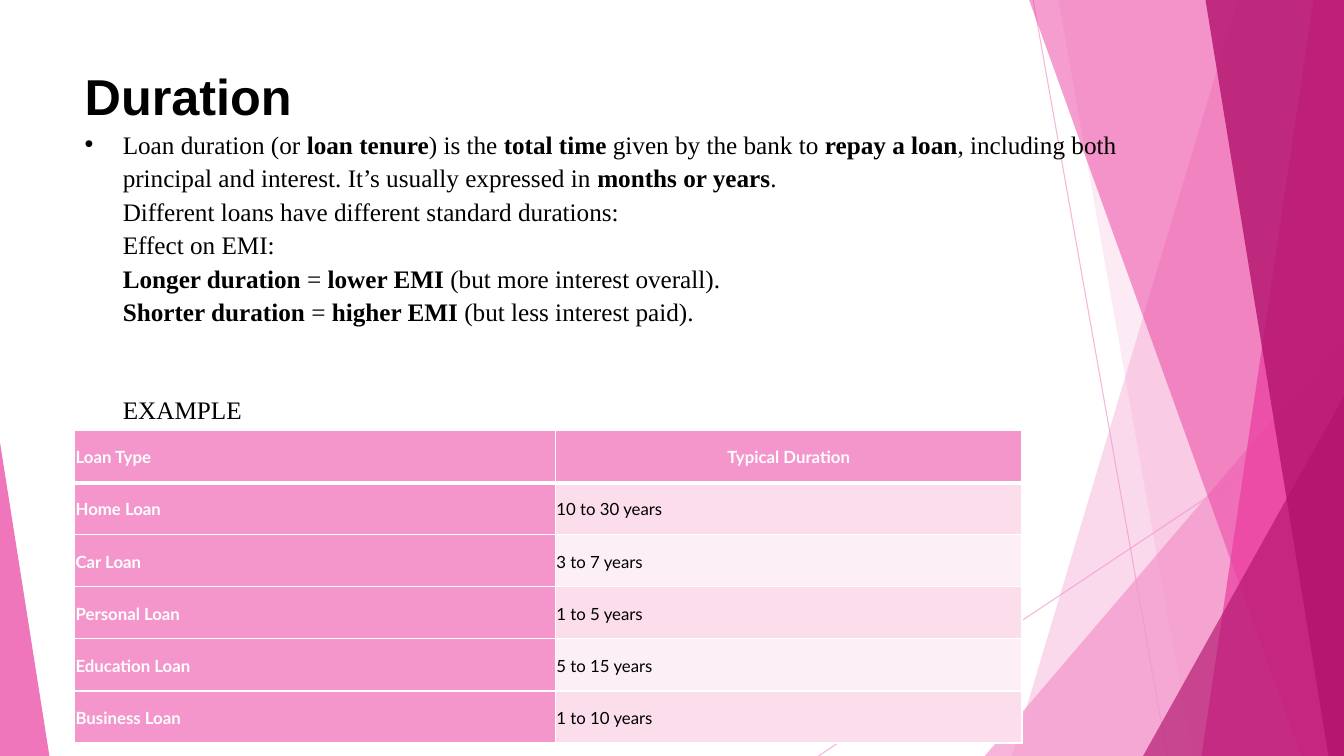
import dataclasses

import pptx
import pptx.dml.color
import pptx.enum.dml
import pptx.enum.shapes
import pptx.enum.text
import pptx.oxml
import pptx.oxml.ns
import pptx.util

Pt = pptx.util.Pt
qn = pptx.oxml.ns.qn
SHAPES = pptx.enum.shapes.MSO_SHAPE
ANCHOR = pptx.enum.text.MSO_ANCHOR
ALIGN = pptx.enum.text.PP_ALIGN


@dataclasses.dataclass(frozen=True)
class Theme:
    light_pink: str = "F496CB"
    pink: str = "EB3D9F"
    magenta: str = "B2136D"
    band_dark: str = "FBDDEC"
    band_light: str = "FDEFF6"
    white: str = "FFFFFF"
    black: str = "000000"
    title_font: str = "Arial"
    body_font: str = "Times New Roman"
    table_font: str = "Lato"
    title_size: int = 36
    body_size: int = 18
    table_size: int = 12


THEME = Theme()
WIDTH, HEIGHT = 960, 540
LEFT = 53.28
HANGING = 27.2
ROW_HEIGHT = 37.2
COLUMN_WIDTHS = (343.44, 333.36)

# Top-left x, bottom-left x, colour, opacity; each band reaches the right edge.
BACK_BANDS = [
    (884.16, 722.88, THEME.light_pink, 36),
    (756, 851.76, THEME.light_pink, 20),
]
FRONT_BANDS = [
    (735.12, 929.52, THEME.pink, 50),
    (938.16, 858.24, THEME.pink, 70),
    (861.12, 948.96, THEME.magenta, 80),
]

# Text between ** marks is bold.
BODY = [
    "Loan duration (or **loan tenure**) is the **total time** given by the bank to "
    "**repay a loan**, including both principal and interest. It’s usually "
    "expressed in **months or years**.",
    "Different loans have different standard durations:",
    "Effect on EMI:",
    "**Longer duration** = **lower EMI** (but more interest overall).",
    "**Shorter duration** = **higher EMI** (but less interest paid).",
    "EXAMPLE",
]

LOANS = [
    ("Loan Type", "Typical Duration"),
    ("Home Loan", "10 to 30 years"),
    ("Car Loan", "3 to 7 years"),
    ("Personal Loan", "1 to 5 years"),
    ("Education Loan", "5 to 15 years"),
    ("Business Loan", "1 to 10 years"),
]


def rgb(colour):
    return pptx.dml.color.RGBColor.from_string(colour)


def set_opacity(shape, percent):
    for colour in shape.element.spPr.iter(qn("a:srgbClr")):
        alpha = colour.makeelement(qn("a:alpha"), {"val": str(percent * 1000)})
        colour.append(alpha)


def paint(shape, colour, opacity):
    shape.shadow.inherit = False
    shape.fill.solid()
    shape.fill.fore_color.rgb = rgb(colour)
    shape.line.fill.background()
    set_opacity(shape, opacity)


def add_band(page, top_x, bottom_x, colour, opacity):
    builder = page.shapes.build_freeform(Pt(top_x), 0)
    corners = [(WIDTH, 0), (WIDTH, HEIGHT), (bottom_x, HEIGHT)]
    builder.add_line_segments([(Pt(x), Pt(y)) for x, y in corners])
    paint(builder.convert_to_shape(), colour, opacity)


def add_triangle(page, left, top, width, apex, colour, opacity):
    """Add a triangle standing on the slide's bottom edge."""
    triangle = page.shapes.add_shape(
        SHAPES.ISOSCELES_TRIANGLE, Pt(left), Pt(top), Pt(width), Pt(HEIGHT - top))
    triangle.adjustments[0] = apex
    paint(triangle, colour, opacity)


def add_hairline(page, start, end):
    line = page.shapes.add_connector(
        pptx.enum.shapes.MSO_CONNECTOR.STRAIGHT, *map(Pt, start + end))
    line.line.color.rgb = rgb(THEME.light_pink)
    line.line.width = Pt(0.75)
    set_opacity(line, 70)
    properties = line.element.spPr
    properties.append(properties.makeelement(qn("a:effectLst"), {}))


def add_decoration(page):
    add_hairline(page, (738, 0), (833.76, HEIGHT))
    add_hairline(page, (WIDTH, 290.16), (584.64, HEIGHT))
    for band in BACK_BANDS:
        add_band(page, *band)
    add_triangle(page, 703.44, 239.76, 256.56, 1, THEME.light_pink, 72)
    for band in FRONT_BANDS:
        add_band(page, *band)
    add_triangle(page, 816.48, 282.96, 143.52, 1, THEME.magenta, 66)
    add_triangle(page, 0, 316.08, 35.28, 0, THEME.pink, 70)


def style_font(font, name, size, colour, bold):
    font.name = name
    font.size = Pt(size)
    font.color.rgb = rgb(colour)
    font.bold = bold


def place_text(page, box, top, height, anchor):
    """Position a placeholder and bring it to the front."""
    box.left, box.top = Pt(LEFT), Pt(top)
    box.width, box.height = Pt(763.92), Pt(height)
    frame = box.text_frame
    frame.word_wrap = True
    frame.auto_size = pptx.enum.text.MSO_AUTO_SIZE.NONE
    frame.vertical_anchor = anchor
    page.shapes.element.append(box.element)
    return frame


def fill_title(page):
    frame = place_text(page, page.shapes.title, 41.76, 51.6, ANCHOR.BOTTOM)
    para = frame.paragraphs[0]
    para.text = "Duration"
    para.alignment = ALIGN.LEFT
    style_font(para.font, THEME.title_font, THEME.title_size, THEME.black, True)


def set_bullet(para, shown):
    properties = para._p.get_or_add_pPr()
    properties.set("marL", str(Pt(HANGING)))
    properties.set("indent", str(-Pt(HANGING) if shown else 0))
    if shown:
        bullet = properties.makeelement(qn("a:buChar"), {"char": "•"})
    else:
        bullet = properties.makeelement(qn("a:buNone"), {})
    properties.insert_element_before(bullet, "a:tabLst", "a:defRPr", "a:extLst")


def fill_body(page):
    frame = place_text(page, page.placeholders[1], 86.2, 236.4, ANCHOR.TOP)
    for index, text in enumerate(BODY):
        para = frame.paragraphs[0] if index == 0 else frame.add_paragraph()
        para.line_spacing = 1.11
        para.space_before = Pt(45.8 if text == BODY[-1] else 0)
        style_font(para.font, THEME.body_font, THEME.body_size, THEME.black, False)
        set_bullet(para, index == 0)
        for part, words in enumerate(text.split("**")):
            if words:
                span = para.add_run()
                span.text = words
                span.font.bold = part % 2 == 1


def set_borders(cell, widths):
    properties = cell._tc.get_or_add_tcPr()
    for side, width in widths.items():
        properties.append(pptx.oxml.parse_xml(
            f'<a:ln{side} {pptx.oxml.ns.nsdecls("a")} w="{Pt(width)}"><a:solidFill>'
            f'<a:srgbClr val="{THEME.white}"/></a:solidFill></a:ln{side}>'))


def fill_cell(cell, text, row, column):
    is_header = row == 0 or column == 0
    set_borders(cell, {"L": 1, "R": 1, "T": 3 if row == 1 else 1, "B": 3 if row == 0 else 1})
    band = THEME.band_dark if row % 2 else THEME.band_light
    cell.fill.solid()
    cell.fill.fore_color.rgb = rgb(THEME.light_pink if is_header else band)
    cell.margin_left = cell.margin_right = cell.margin_top = cell.margin_bottom = Pt(0.75)
    cell.vertical_anchor = ANCHOR.MIDDLE
    para = cell.text_frame.paragraphs[0]
    para.text = text
    para.line_spacing = 1.07
    para.alignment = ALIGN.CENTER if (row, column) == (0, 1) else ALIGN.LEFT
    style_font(para.font, THEME.table_font, THEME.table_size,
               THEME.white if is_header else THEME.black, is_header)


def add_loan_table(page):
    table = page.shapes.add_table(
        len(LOANS), len(COLUMN_WIDTHS), Pt(LEFT), Pt(307.6),
        Pt(sum(COLUMN_WIDTHS)), Pt(ROW_HEIGHT * len(LOANS))).table
    table.first_col = True
    for column, width in zip(table.columns, COLUMN_WIDTHS):
        column.width = Pt(width)
    for row, texts in enumerate(LOANS):
        for column, text in enumerate(texts):
            fill_cell(table.cell(row, column), text, row, column)


def main():
    deck = pptx.Presentation()
    deck.slide_width, deck.slide_height = Pt(WIDTH), Pt(HEIGHT)
    page = deck.slides.add_slide(deck.slide_layouts[1])
    add_decoration(page)
    add_loan_table(page)
    fill_title(page)
    fill_body(page)
    deck.save("out.pptx")


if __name__ == "__main__":
    main()
